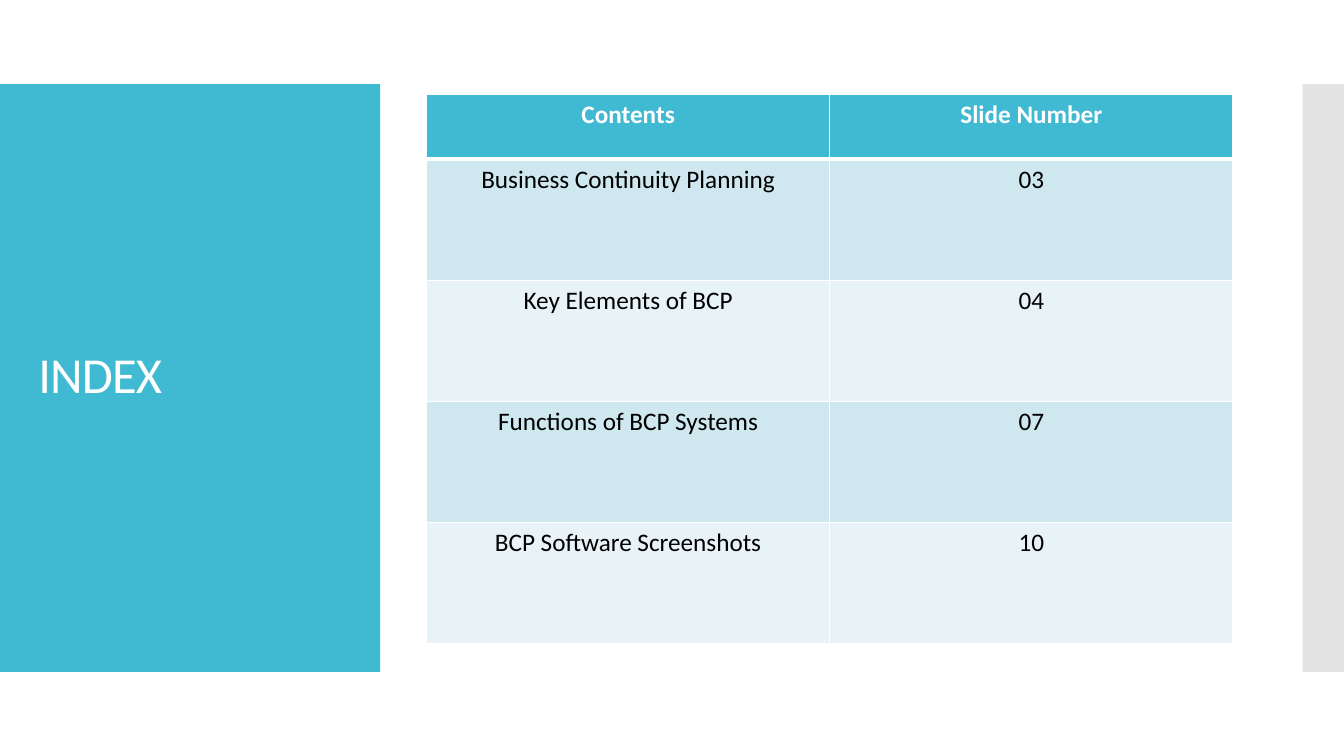
import pptx
import pptx.util
import pptx.dml.color
import pptx.enum.shapes
import pptx.enum.text
import pptx.oxml
import pptx.oxml.ns
import lxml.etree

# Content
TITLE = "INDEX"
ROWS = [
    ("Contents", "Slide Number"),
    ("Business Continuity Planning", "03"),
    ("Key Elements of BCP", "04"),
    ("Functions of BCP Systems", "07"),
    ("BCP Software Screenshots", "10"),
]

THEME = {
    "font": "Calibri", "title": 36, "body": 18,
    "teal": "40BAD2", "gray": "C8C8C8", "white": "FFFFFF", "black": "000000",
    "bands": ("CFE7EE", "E8F3F7"),
}

# Layout in inches
WIDE, HIGH = 13.33, 7.5
TOP, TALL = HIGH / 9, HIGH * 7 / 9
PANELS = [  # left, width, colour, opacity in percent
    (0, 3.77, "teal", 100),
    (12.92, WIDE - 12.92, "gray", 50),
]
HEAD = (0.28, 1.23, 3.22, 5.03)
GRID = {"left": 4.23, "top": 0.94, "col": 4, "head": 0.64, "row": 1.2}

Inch, Pt = pptx.util.Inches, pptx.util.Pt
qn = pptx.oxml.ns.qn


def tint(name):
    return pptx.dml.color.RGBColor.from_string(name)


def apply(item, values):
    for key, value in values.items():
        setattr(item, key, value)


def paint(fill, name):
    fill.solid()
    fill.fore_color.rgb = tint(name)


def style(part, size, color, bold=False):
    apply(part.font, {"name": THEME["font"], "size": Pt(size), "bold": bold})
    part.font.color.rgb = tint(color)


def edge(cell, sides):
    props = cell._tc.get_or_add_tcPr()
    for spot, (side, width) in enumerate(sides.items()):
        line = lxml.etree.Element(qn("a:ln" + side), w=str(Pt(width)))
        fill = lxml.etree.SubElement(line, qn("a:solidFill"))
        lxml.etree.SubElement(fill, qn("a:srgbClr"), val=THEME["white"])
        props.insert(spot, line)


def add_panels(slide):
    for left, width, name, alpha in PANELS:
        panel = slide.shapes.add_shape(
            pptx.enum.shapes.MSO_SHAPE.RECTANGLE,
            Inch(left), Inch(TOP), Inch(width), Inch(TALL))
        panel.shadow.inherit = False
        panel.line.fill.background()
        paint(panel.fill, THEME[name])
        if alpha < 100:
            color = panel.element.spPr.find(".//" + qn("a:srgbClr"))
            lxml.etree.SubElement(color, qn("a:alpha"), val=str(alpha * 1000))


def add_title(slide):
    title = slide.shapes.title
    apply(title, dict(zip(("left", "top", "width", "height"), map(Inch, HEAD))))
    frame = title.text_frame
    apply(frame, {
        "text": TITLE, "word_wrap": True,
        "auto_size": pptx.enum.text.MSO_AUTO_SIZE.NONE,
        "vertical_anchor": pptx.enum.text.MSO_ANCHOR.MIDDLE,
    })
    line = frame.paragraphs[0]
    apply(line, {"alignment": pptx.enum.text.PP_ALIGN.LEFT, "line_spacing": 0.9})
    run = line.runs[0]
    style(run, THEME["title"], THEME["white"])
    run.font._element.set("spc", "-60")
    # Bring the title in front of the panels
    slide.shapes.element.append(title.element)


def add_index(slide):
    count, cols = len(ROWS), len(ROWS[0])
    highs = [GRID["head"]] + [GRID["row"]] * (count - 1)
    table = slide.shapes.add_table(
        count, cols, Inch(GRID["left"]), Inch(GRID["top"]),
        Inch(GRID["col"] * cols), Inch(sum(highs))).table
    for col in table.columns:
        col.width = Inch(GRID["col"])
    for r, texts in enumerate(ROWS):
        table.rows[r].height = Inch(highs[r])
        head = r == 0
        back = THEME["teal"] if head else THEME["bands"][(r - 1) % 2]
        ink = THEME["white"] if head else THEME["black"]
        for c, text in enumerate(texts):
            cell = table.cell(r, c)
            cell.text = text
            paint(cell.fill, back)
            edge(cell, {"L": 1, "R": 1, "T": 3 if r == 1 else 1,
                        "B": 3 if head else 1})
            line = cell.text_frame.paragraphs[0]
            line.alignment = pptx.enum.text.PP_ALIGN.CENTER
            style(line.runs[0], THEME["body"], ink, head)


def main():
    deck = pptx.Presentation()
    apply(deck, {"slide_width": Inch(WIDE), "slide_height": Inch(HIGH)})
    slide = deck.slides.add_slide(deck.slide_layouts[5])
    paint(slide.background.fill, THEME["white"])
    add_panels(slide)
    add_title(slide)
    add_index(slide)
    deck.save("out.pptx")


if __name__ == "__main__":
    main()
